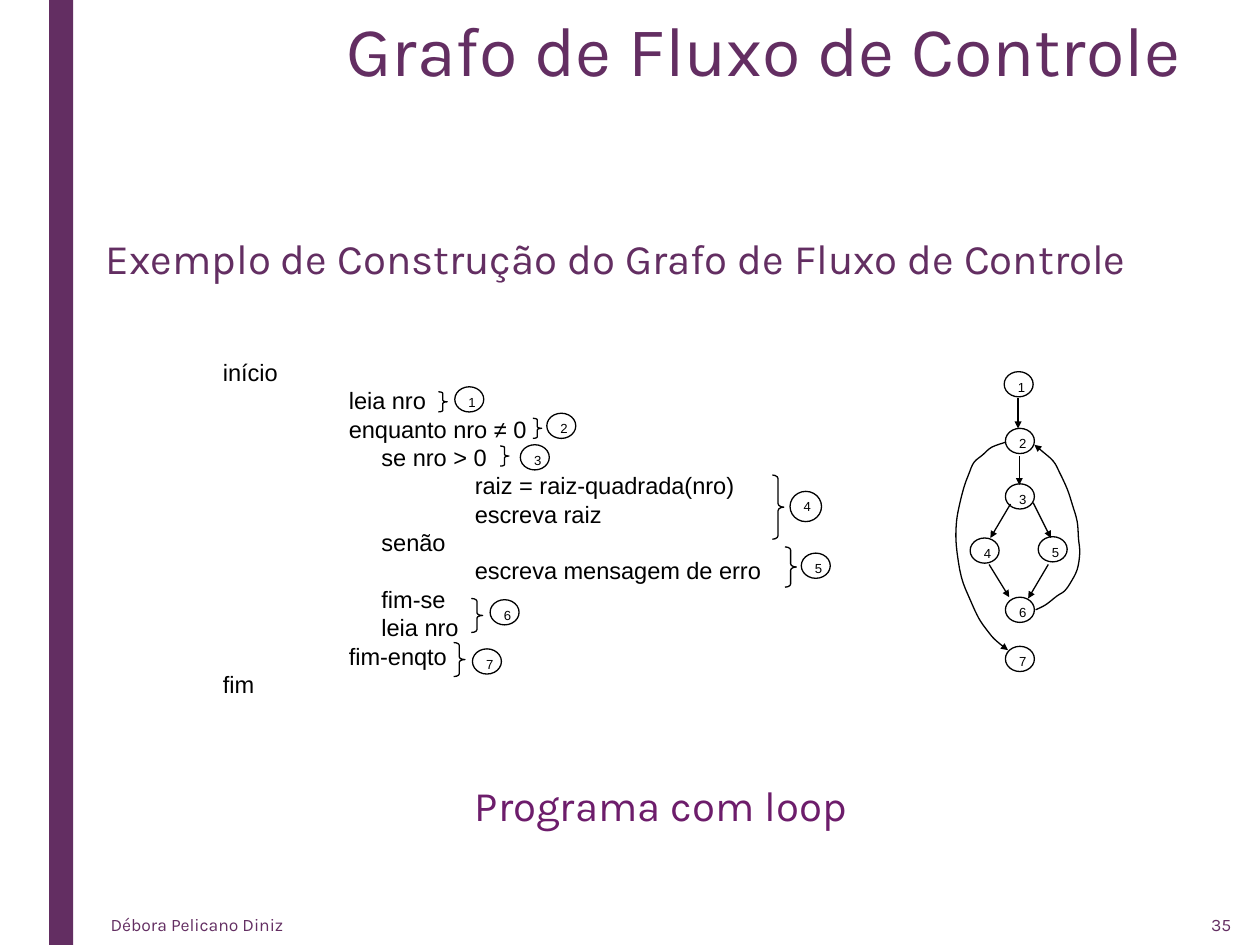
from typing import NamedTuple, Optional

import pptx
import pptx.dml.color
import pptx.enum.shapes
import pptx.enum.text
import pptx.oxml.ns
import pptx.util

Inches = pptx.util.Inches
Pt = pptx.util.Pt
RGBColor = pptx.dml.color.RGBColor
MSO_SHAPE = pptx.enum.shapes.MSO_SHAPE
PP_ALIGN = pptx.enum.text.PP_ALIGN
MSO_ANCHOR = pptx.enum.text.MSO_ANCHOR

PURPLE = RGBColor(0x63, 0x2E, 0x62)
BRIGHT_PURPLE = RGBColor(0x6D, 0x1D, 0x6B)
BLACK = RGBColor(0, 0, 0)
WHITE = RGBColor(0xFF, 0xFF, 0xFF)

Point = tuple[float, float]


class Box(NamedTuple):
    left: float
    top: float
    width: float
    height: float

    def lengths(self) -> list[int]:
        return [Inches(value) for value in self]


class Node(NamedTuple):
    label: str
    left: float
    top: float
    width: float = 0.23
    height: float = 0.2


class Brace(NamedTuple):
    box: Box
    curvature: float


class Marker(NamedTuple):
    """A numbered node, with the brace that ties it to lines of code."""
    node: Node
    brace: Optional[Brace] = None


class Edge(NamedTuple):
    start: Point
    end: Point


CODE = [
    "início",
    "\tleia nro",
    "\tenquanto nro ≠ 0",
    "\t     se nro > 0",
    "\t\traiz = raiz-quadrada(nro)",
    "\t\tescreva raiz",
    "\t     senão",
    "\t\tescreva mensagem de erro",
    "\t     fim-se",
    "\t     leia nro",
    "\tfim-enqto",
    "fim",
]
CODE_TABS = (1, 2)

CODE_MARKERS = [
    Marker(Node("1", 3.61, 3.07), Brace(Box(3.48, 3.11, 0.07, 0.16), 0.18)),
    Marker(Node("2", 4.34, 3.28), Brace(Box(4.23, 3.32, 0.07, 0.16), 0.18)),
    Marker(Node("3", 4.13, 3.53), Brace(Box(3.97, 3.54, 0.07, 0.16), 0.18)),
    Marker(Node("4", 6.27, 3.9, 0.25, 0.24), Brace(Box(6.13, 3.77, 0.09, 0.51), 0.32)),
    Marker(Node("5", 6.36, 4.39), Brace(Box(6.23, 4.34, 0.09, 0.32), 0.28)),
    Marker(Node("6", 3.89, 4.76), Brace(Box(3.74, 4.75, 0.09, 0.27), 0.24)),
    Marker(Node("7", 3.75, 5.15), Brace(Box(3.6, 5.1, 0.09, 0.27), 0.24)),
]

GRAPH_MARKERS = [
    Marker(Node("1", 7.97, 2.95)),
    Marker(Node("2", 7.98, 3.4)),
    Marker(Node("3", 7.98, 3.84)),
    Marker(Node("4", 7.7, 4.27)),
    Marker(Node("5", 8.24, 4.26)),
    Marker(Node("6", 7.98, 4.74)),
    Marker(Node("7", 7.98, 5.13)),
]

EDGES = [
    Edge((8.08, 3.16), (8.08, 3.4)),
    Edge((8.09, 3.62), (8.09, 3.85)),
    Edge((8.02, 4), (7.86, 4.27)),
    Edge((8.2, 3.99), (8.34, 4.27)),
    Edge((7.85, 4.48), (8.01, 4.74)),
    Edge((8.32, 4.48), (8.16, 4.75)),
]

LOOP_BACK = [(8.22, 4.84), (8.3, 4.8), (8.39, 4.73), (8.45, 4.69), (8.5, 4.62),
             (8.55, 4.52), (8.57, 4.39), (8.56, 4.27), (8.55, 4.14), (8.51, 4),
             (8.47, 3.88), (8.41, 3.75), (8.36, 3.66), (8.27, 3.58), (8.21, 3.53)]
LOOP_EXIT = [(7.98, 3.51), (7.87, 3.55), (7.8, 3.61), (7.73, 3.67), (7.69, 3.76),
             (7.65, 3.87), (7.61, 4.03), (7.59, 4.16), (7.59, 4.33), (7.63, 4.58),
             (7.7, 4.76), (7.77, 4.91), (7.84, 5.01), (7.89, 5.07), (7.96, 5.13),
             (8, 5.16)]


def append_element(parent, tag: str, **attributes: str):
    element = parent.makeelement(pptx.oxml.ns.qn(tag), attributes)
    parent.append(element)
    return element


def add_text(paragraph, text: str, font: str, size: float, color: RGBColor) -> None:
    run = paragraph.add_run()
    run.text = text
    run.font.name = font
    run.font.size = Pt(size)
    run.font.color.rgb = color


def add_text_box(shapes, box: Box, text: str, font: str, size: float, color: RGBColor,
                 anchor=MSO_ANCHOR.TOP, align=PP_ALIGN.LEFT):
    frame = shapes.add_textbox(*box.lengths()).text_frame
    frame.word_wrap = True
    frame.vertical_anchor = anchor
    frame.paragraphs[0].alignment = align
    add_text(frame.paragraphs[0], text, font, size, color)
    return frame


def outline(shape) -> None:
    shape.line.color.rgb = BLACK
    shape.line.width = Pt(0.75)


def add_arrowhead(shape) -> None:
    append_element(shape.line._get_or_add_ln(), "a:tailEnd", type="triangle", w="sm", len="sm")


def draw_marker(shapes, marker: Marker) -> None:
    group = shapes.add_group_shape().shapes
    label, *frame = marker.node
    left, top, width, height = frame
    circle = group.add_shape(MSO_SHAPE.OVAL, *Box(*frame).lengths())
    circle.shadow.inherit = False
    circle.fill.solid()
    circle.fill.fore_color.rgb = WHITE
    outline(circle)
    add_text_box(group, Box(left + 0.01, top + 0.01, width, height),
                 label, "Arial", 7.5, BLACK)
    if marker.brace:
        brace = group.add_shape(MSO_SHAPE.RIGHT_BRACE, *marker.brace.box.lengths())
        brace.shadow.inherit = False
        brace.adjustments[0] = marker.brace.curvature
        brace.fill.background()
        outline(brace)


def draw_edge(shapes, edge: Edge) -> None:
    connector = shapes.add_connector(
        pptx.enum.shapes.MSO_CONNECTOR.STRAIGHT,
        *[Inches(value) for value in edge.start + edge.end])
    outline(connector)
    add_arrowhead(connector)
    append_element(connector._element.spPr, "a:effectLst")


def smooth_points(points: list[Point], steps: int = 4) -> list[Point]:
    """Sample a Catmull-Rom curve that passes through the points."""
    padded = [points[0], *points, points[-1]]
    result = [points[0]]
    for a, b, c, d in zip(padded, padded[1:], padded[2:], padded[3:]):
        for step in range(1, steps + 1):
            t = step / steps
            x, y = (0.5 * (2 * q + (r - p) * t + (2 * p - 5 * q + 4 * r - s) * t ** 2
                           + (3 * q - p - 3 * r + s) * t ** 3)
                    for p, q, r, s in zip(a, b, c, d))
            result.append((x, y))
    return result


def draw_curve(shapes, points: list[Point]) -> None:
    start, *rest = [(Inches(x), Inches(y)) for x, y in smooth_points(points)]
    builder = shapes.build_freeform(*start)
    builder.add_line_segments(rest, close=False)
    curve = builder.convert_to_shape()
    curve.shadow.inherit = False
    curve.fill.background()
    outline(curve)
    add_arrowhead(curve)


def place(placeholder, box: Box):
    placeholder.left, placeholder.top, placeholder.width, placeholder.height = box.lengths()
    frame = placeholder.text_frame
    frame.auto_size = pptx.enum.text.MSO_AUTO_SIZE.NONE
    frame.vertical_anchor = MSO_ANCHOR.TOP
    return frame


def fill_body(frame) -> None:
    heading, caption = frame.paragraphs[0], frame.add_paragraph()
    for paragraph, margin in ((heading, 0.42), (caption, 0)):
        properties = paragraph._p.get_or_add_pPr()
        properties.set("marL", str(Inches(margin)))
        properties.set("indent", str(-Inches(margin)))
        append_element(properties, "a:buNone")
        paragraph.line_spacing = 0.94
        paragraph.space_after = Pt(2)
    heading.space_before = Pt(0)
    caption.space_before = Pt(283.5)
    caption.alignment = PP_ALIGN.CENTER
    add_text(heading, "Exemplo de Construção do Grafo de Fluxo de Controle", "Karla", 24, PURPLE)
    add_text(caption, "Programa com loop", "Karla", 24, BRIGHT_PURPLE)


def draw_code(shapes) -> None:
    frame = add_text_box(shapes, Box(1.67, 2.79, 4.55, 2.83), CODE[0], "Arial", 13.5, BLACK)
    for line in CODE[1:]:
        add_text(frame.add_paragraph(), line, "Arial", 13.5, BLACK)
    for paragraph in frame.paragraphs:
        tabs = append_element(paragraph._p.get_or_add_pPr(), "a:tabLst")
        for position in CODE_TABS:
            append_element(tabs, "a:tab", pos=str(Inches(position)), algn="l")
        paragraph.alignment = PP_ALIGN.JUSTIFY
        paragraph.line_spacing = Pt(16.2)


def main() -> None:
    presentation = pptx.Presentation()
    presentation.slide_width, presentation.slide_height = Inches(10), Inches(7.5)
    slide = presentation.slides.add_slide(presentation.slide_layouts[1])
    shapes = slide.shapes

    bar = shapes.add_shape(MSO_SHAPE.RECTANGLE, *Box(0.39, 0, 0.19, 7.5).lengths())
    bar.shadow.inherit = False
    bar.fill.solid()
    bar.fill.fore_color.rgb = PURPLE
    bar.line.fill.background()

    title = place(shapes.title, Box(2.37, 0.08, 7.38, 1.62)).paragraphs[0]
    title.alignment = PP_ALIGN.CENTER
    title.line_spacing = 0.89
    add_text(title, "Grafo de Fluxo de Controle", "Karla", 40, PURPLE)
    fill_body(place(slide.placeholders[1], Box(0.74, 1.83, 9.01, 5.23)))

    draw_code(shapes)
    for marker in CODE_MARKERS + GRAPH_MARKERS:
        draw_marker(shapes, marker)
    for edge in EDGES:
        draw_edge(shapes, edge)
    for curve in (LOOP_BACK, LOOP_EXIT):
        draw_curve(shapes, curve)

    for box, text, align in (
            (Box(0.78, 7.18, 5.15, 0.32), "Débora Pelicano Diniz", PP_ALIGN.LEFT),
            (Box(9.33, 7.18, 0.54, 0.32), "35", PP_ALIGN.RIGHT)):
        add_text_box(shapes, box, text, "Karla", 10, PURPLE, MSO_ANCHOR.MIDDLE, align)
    presentation.save("out.pptx")


if __name__ == "__main__":
    main()
